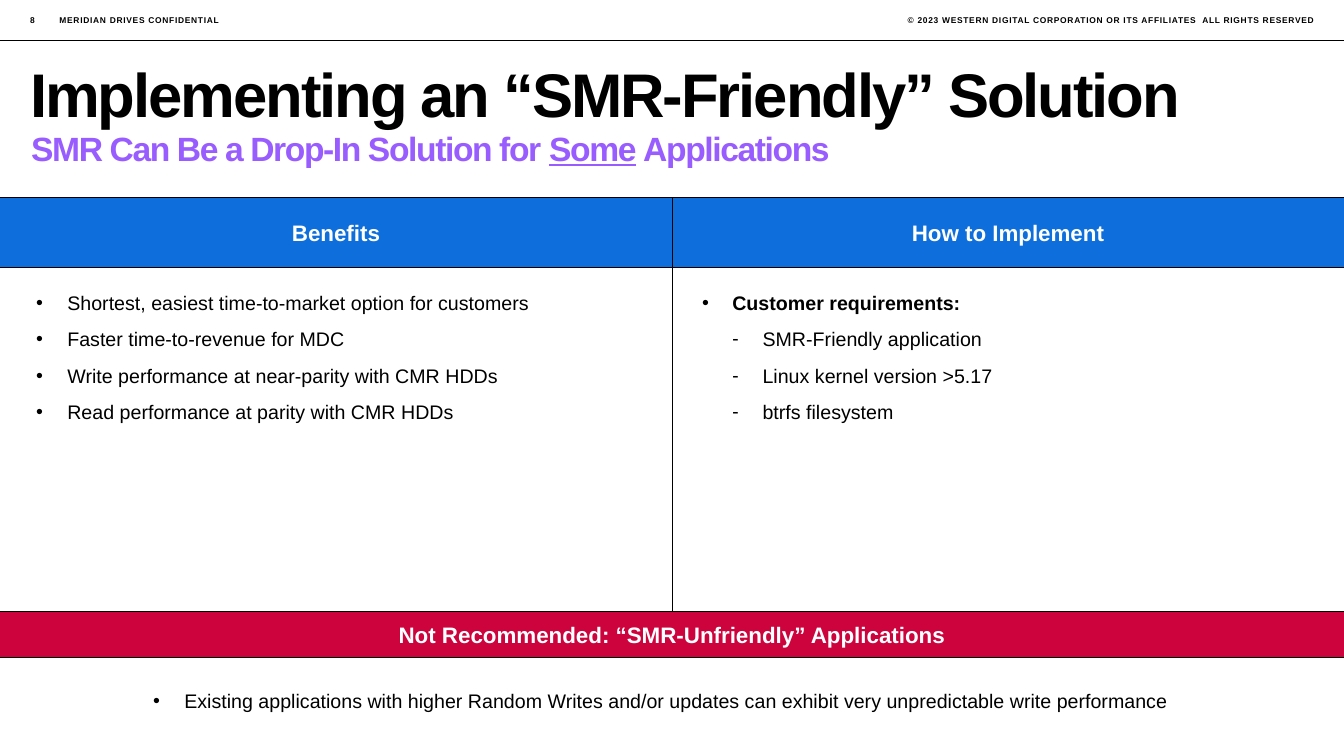
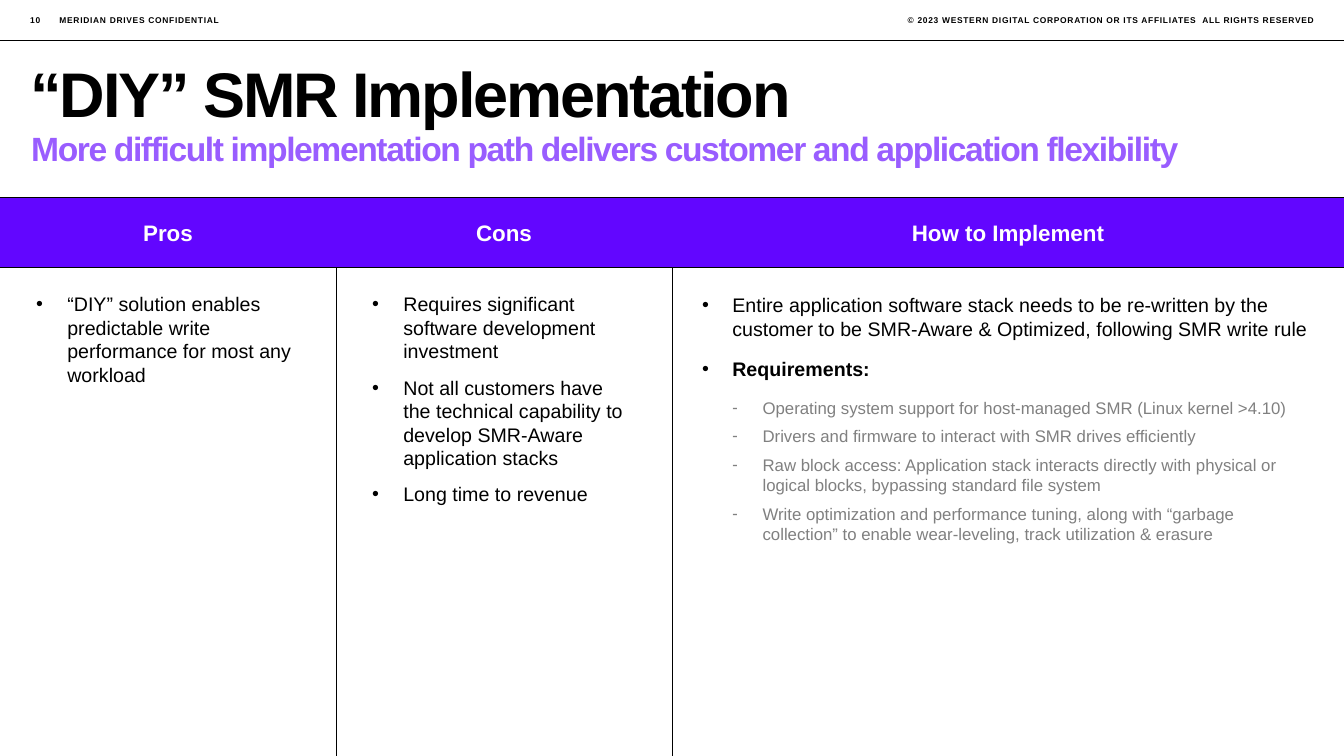
from dataclasses import dataclass

from lxml.etree import SubElement
from pptx import Presentation
from pptx.dml.color import RGBColor
from pptx.enum.shapes import MSO_CONNECTOR, MSO_SHAPE
from pptx.enum.text import MSO_ANCHOR as Anchor, PP_ALIGN as Align
from pptx.oxml.ns import qn
from pptx.slide import Slide
from pptx.text.text import TextFrame, _Paragraph as Para
from pptx.util import Inches, Pt

BLACK = RGBColor(0x00, 0x00, 0x00)
WHITE = RGBColor(0xFF, 0xFF, 0xFF)
GREY = RGBColor(0x80, 0x80, 0x80)
BLUE = RGBColor(0x0E, 0x6F, 0xDC)
VIOLET = RGBColor(0x62, 0x06, 0xFF)
LILAC = RGBColor(0x99, 0x5D, 0xFF)
RED = RGBColor(0xCC, 0x03, 0x3C)

FONT = "Arial"
WIDE, HIGH = 13.33, 7.5
COL = WIDE / 4
EDGE = 0.3
BAND, BODY = 1.96, 2.65
WARN, NOTE = 6.07, 6.52
MARKS = ("•", "⁃")
OWNER = "MERIDIAN DRIVES CONFIDENTIAL"
RIGHTS = "© 2023 WESTERN DIGITAL CORPORATION OR ITS AFFILIATES  ALL RIGHTS RESERVED"


@dataclass(frozen=True)
class Item:
    text: str
    level: int = 0
    bold: bool = False
    size: int = 14
    color: RGBColor = BLACK
    gap: int = 9


@dataclass(frozen=True)
class Column:
    head: str
    start: int
    span: int
    items: list[Item]
    pad: float = 0.26
    top: float = 2.85
    step: float = 0.31


@dataclass(frozen=True)
class Page:
    number: int
    title: str
    size: int
    sub: str  # words between underscores are underlined
    color: RGBColor
    columns: list[Column]
    rise: float  # top of the column dividers
    end: float  # foot of the column dividers


def style(para: Para, size: float, color: RGBColor, bold: bool = False,
          track: float = 0) -> None:
    """Set the paragraph font; track is letter spacing in points."""
    font = para.font
    font.name, font.size, font.bold = FONT, Pt(size), bold
    font.color.rgb = color
    if track:
        para._p.get_or_add_pPr().get_or_add_defRPr().set("spc", str(round(track * 100)))


def add_box(slide: Slide, left: float, top: float, width: float, height: float,
            inset: bool = False, anchor: Anchor = Anchor.TOP) -> TextFrame:
    box = slide.shapes.add_textbox(*map(Inches, (left, top, width, height)))
    frame = box.text_frame
    frame.word_wrap = True
    frame.vertical_anchor = anchor
    if not inset:
        frame.margin_left = frame.margin_right = 0
        frame.margin_top = frame.margin_bottom = 0
    return frame


def add_rule(slide: Slide, x1: float, y1: float, x2: float, y2: float) -> None:
    ends = map(Inches, (x1, y1, x2, y2))
    rule = slide.shapes.add_connector(MSO_CONNECTOR.STRAIGHT, *ends)
    rule.line.color.rgb = BLACK
    rule.line.width = Pt(0.5)
    SubElement(rule._element.spPr, qn("a:effectLst"))


def add_band(slide: Slide, text: str, left: float, top: float, width: float,
             height: float, color: RGBColor) -> None:
    spot = map(Inches, (left, top, width, height))
    band = slide.shapes.add_shape(MSO_SHAPE.RECTANGLE, *spot)
    band.shadow.inherit = False
    band.fill.solid()
    band.fill.fore_color.rgb = color
    band.line.fill.background()
    band.text_frame.vertical_anchor = Anchor.MIDDLE
    para = band.text_frame.paragraphs[0]
    para.text, para.alignment = text, Align.CENTER
    style(para, 16, WHITE, True)


def add_list(frame: TextFrame, items: list[Item], step: float) -> None:
    """Write bulleted items, each level indented by one more step."""
    for i, item in enumerate(items):
        para = frame.add_paragraph() if i else frame.paragraphs[0]
        para.text, para.level = item.text, item.level
        para.space_after = Pt(item.gap)
        props = para._p.get_or_add_pPr()
        props.set("marL", str(Inches(step * (item.level + 1))))
        props.set("indent", str(-Inches(step)))
        SubElement(props, qn("a:buFont")).set("typeface", FONT)
        SubElement(props, qn("a:buChar")).set("char", MARKS[item.level])
        style(para, item.size, item.color, item.bold)


def add_small(slide: Slide, text: str, left: float, width: float,
              align: Align = Align.LEFT) -> None:
    """Write one part of the line above the top rule."""
    frame = add_box(slide, left, 0.15, width, 0.1, anchor=Anchor.MIDDLE)
    para = frame.paragraphs[0]
    para.text, para.alignment, para.line_spacing = text, align, Pt(7.5)
    style(para, 6, BLACK, True, 0.5)


def add_head(slide: Slide, page: Page) -> None:
    add_rule(slide, 0, 0.4, WIDE, 0.4)
    add_small(slide, str(page.number), EDGE, 0.23)
    add_small(slide, OWNER, 0.59, 2)
    add_small(slide, RIGHTS, 6.88, WIDE - EDGE - 6.88, Align.RIGHT)

    width = WIDE - 2 * EDGE
    frame = add_box(slide, EDGE, 0.62, width, 0.67, anchor=Anchor.BOTTOM)
    para = frame.paragraphs[0]
    para.text, para.line_spacing = page.title, 0.85
    style(para, page.size, BLACK, True, -1.5)

    para = add_box(slide, EDGE + 0.01, 1.31, width, 0.45).paragraphs[0]
    para.line_spacing = 0.9
    style(para, 24, LILAC, True, -1)
    for i, part in enumerate(page.sub.split("_")):
        run = para.add_run()
        run.text = part
        if i % 2:
            run.font.underline = True


def add_page(deck: Presentation, page: Page) -> Slide:
    slide = deck.slides.add_slide(deck.slide_layouts[6])
    add_head(slide, page)
    for col in page.columns:
        left, width = col.start * COL, col.span * COL
        add_band(slide, col.head, left, BAND, width, BODY - BAND, page.color)
        frame = add_box(slide, left + col.pad, col.top, width - 2 * col.pad,
                        page.end - col.top, inset=True)
        add_list(frame, col.items, col.step)
    for y in (BAND, BODY):
        add_rule(slide, 0, y, WIDE, y)
    for col in page.columns[1:]:
        add_rule(slide, col.start * COL, page.rise, col.start * COL, page.end)
    return slide


def add_warning(slide: Slide) -> None:
    add_band(slide, "Not Recommended: “SMR-Unfriendly” Applications",
             0, WARN, WIDE, NOTE - WARN, RED)
    for y in (WARN, NOTE):
        add_rule(slide, 0, y, WIDE, y)
    note = Item("Existing applications with higher Random Writes and/or updates "
                "can exhibit very unpredictable write performance")
    add_list(add_box(slide, 1.42, 6.79, 10.54, 0.34, inset=True), [note], 0.31)


def need(text: str) -> Item:
    return Item(text, 1, size=12, color=GREY, gap=6)


FRIENDLY = Page(
    8, "Implementing an “SMR-Friendly” Solution", 44,
    "SMR Can Be a Drop-In Solution for _Some_ Applications", BLUE,
    [
        Column("Benefits", 0, 2, [
            Item("Shortest, easiest time-to-market option for customers"),
            Item("Faster time-to-revenue for MDC"),
            Item("Write performance at near-parity with CMR HDDs"),
            Item("Read performance at parity with CMR HDDs"),
        ], top=2.84),
        Column("How to Implement", 2, 2, [
            Item("Customer requirements:", bold=True),
            Item("SMR-Friendly application", 1),
            Item("Linux kernel version >5.17", 1),
            Item("btrfs filesystem", 1),
        ], pad=0.2, top=2.84, step=0.3),
    ],
    BAND, WARN)

CUSTOM = Page(
    10, "“DIY” SMR Implementation", 45,
    "More difficult implementation path delivers customer and application flexibility",
    VIOLET,
    [
        Column("Pros", 0, 1, [
            Item("“DIY” solution enables predictable write performance "
                 "for most any workload"),
        ]),
        Column("Cons", 1, 1, [
            Item("Requires significant software development investment"),
            Item("Not all customers have the technical capability to develop "
                 "SMR-Aware application stacks"),
            Item("Long time to revenue"),
        ]),
        Column("How to Implement", 2, 2, [
            Item("Entire application software stack needs to be re-written by the "
                 "customer to be SMR-Aware & Optimized, following SMR write rule",
                 gap=12),
            Item("Requirements:", bold=True, gap=12),
            need("Operating system support for host-managed SMR (Linux kernel >4.10)"),
            need("Drivers and firmware to interact with SMR drives efficiently"),
            need("Raw block access: Application stack interacts directly with "
                 "physical or logical blocks, bypassing standard file system"),
            need("Write optimization and performance tuning, along with “garbage "
                 "collection” to enable wear-leveling, track utilization & erasure"),
        ], pad=0.2, top=2.86, step=0.3),
    ],
    BODY, HIGH)


def main() -> None:
    deck = Presentation()
    deck.slide_width, deck.slide_height = Inches(WIDE), Inches(HIGH)
    add_warning(add_page(deck, FRIENDLY))
    add_page(deck, CUSTOM)
    deck.save("out.pptx")


if __name__ == "__main__":
    main()
